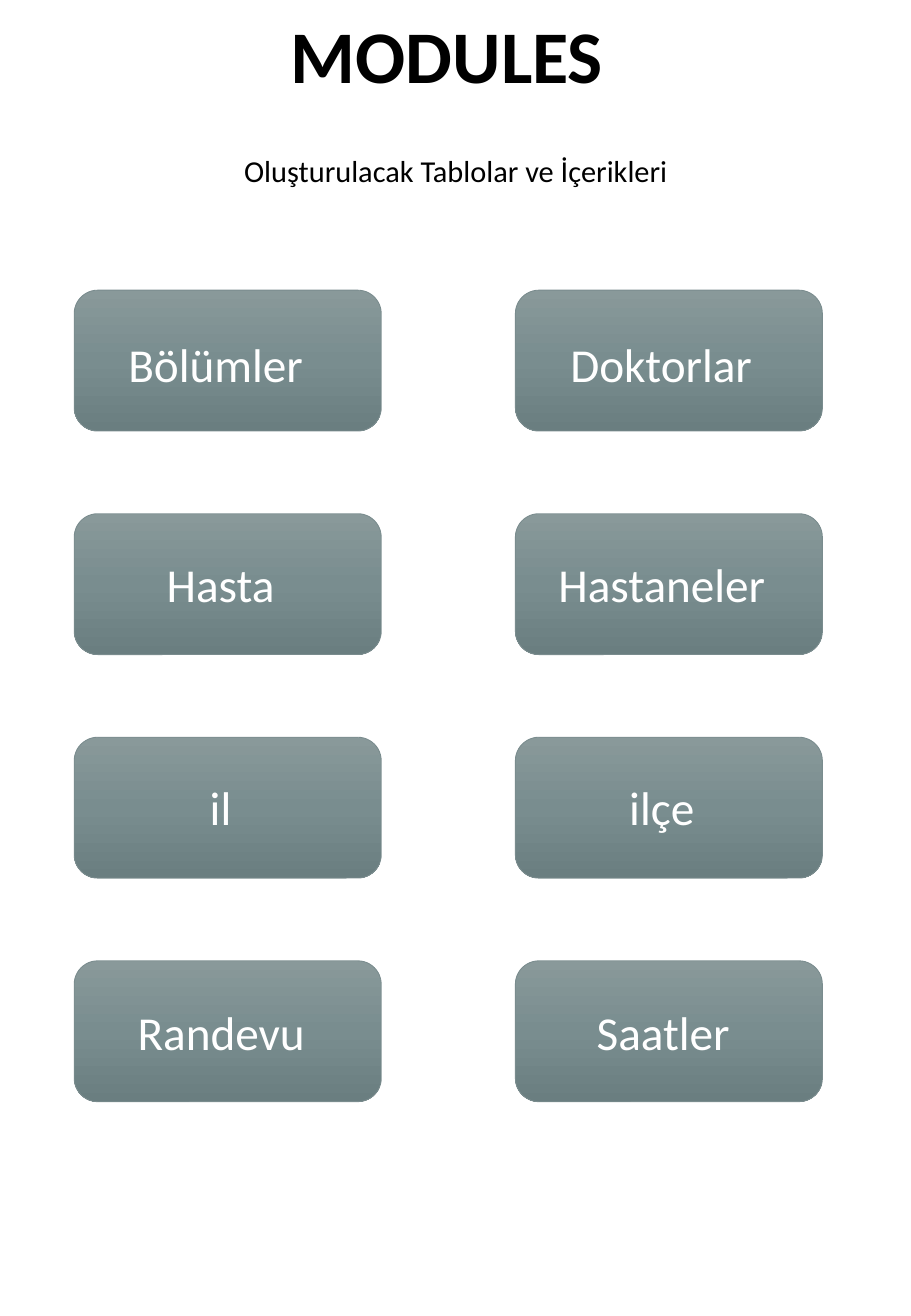
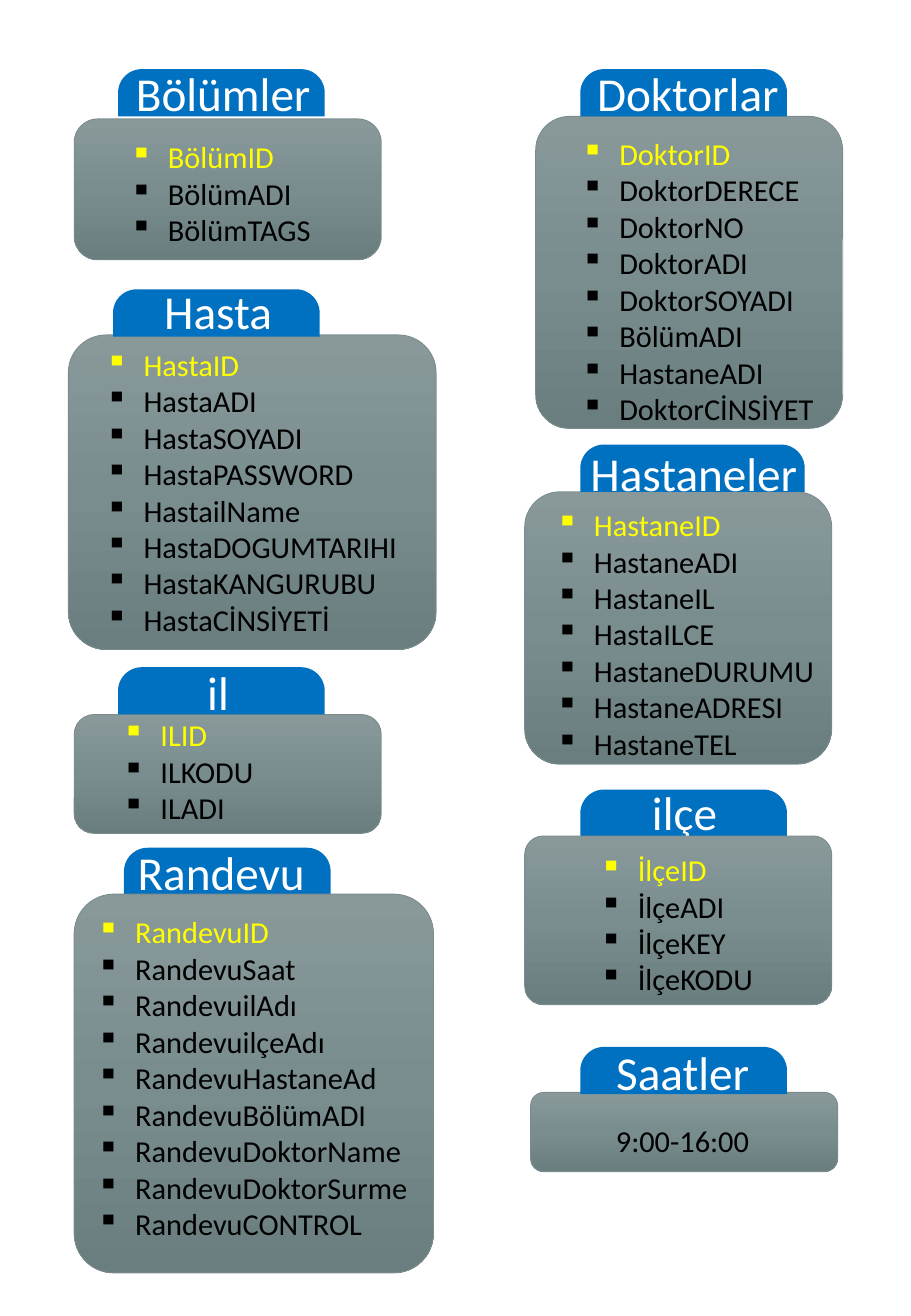
from dataclasses import dataclass
from typing import NamedTuple

from pptx import Presentation
from pptx.dml.color import RGBColor
from pptx.enum.shapes import MSO_SHAPE
from pptx.enum.text import MSO_ANCHOR, MSO_AUTO_SIZE, PP_ALIGN
from pptx.oxml import parse_xml
from pptx.oxml.ns import nsdecls
from pptx.oxml.xmlchemy import OxmlElement
from pptx.shapes.autoshape import Shape
from pptx.slide import Slide
from pptx.text.text import TextFrame
from pptx.util import Pt


@dataclass(frozen=True)
class Theme:
    font: str = "Calibri"
    title_size: float = 44
    label_size: float = 28
    body_size: float = 18
    text: str = "000000"
    label: str = "FFFFFF"
    key: str = "FFFF00"
    tab: str = "0070C0"
    card_line: str = "7A8C8E"
    card_stops: tuple[str, ...] = ("89999A", "798D8F", "6A7E80")


THEME = Theme()
CARD_W, CARD_H = 182, 83.5
TAB_W, TAB_H = 122.5, 28
LABEL_W, LABEL_H = 163.5, 41
LINE_H, INSETS_H = 21.8, 7.2
BULLET_INDENT = 22.5


class Box(NamedTuple):
    left: float
    top: float
    width: float
    height: float


class Label(NamedTuple):
    text: str
    left: float
    top: float
    width: float = LABEL_W
    align: PP_ALIGN = PP_ALIGN.CENTER


@dataclass(frozen=True)
class Table:
    label: Label
    tab_at: tuple[float, float]
    card: Box
    list_at: tuple[float, float]
    list_width: float
    fields: tuple[str, ...]
    radius: float | None = None
    tab_width: float = TAB_W
    bulleted: bool = True
    card_in_front: bool = False


GRID_LEFT, GRID_TOP, COLUMN_STEP, ROW_STEP = 44, 172, 261.5, 132.5
# Label positions are offsets from the card's corner.
GRID = (
    (Label("Bölümler", 25, 23, 122.5, PP_ALIGN.LEFT),
     Label("Doktorlar", 25.5, 23, 139.5, PP_ALIGN.LEFT)),
    (Label("Hasta", 5, 21), Label("Hastaneler", 5, 21)),
    (Label("il", 5, 21), Label("ilçe", 5, 21)),
    (Label("Randevu ", 8.5, 21.5), Label("Saatler ", 9, 21.5)),
)

TABLES = (
    Table(Label("Bölümler", 73.5, 34.5, 122.5, PP_ALIGN.LEFT), (70, 41),
          Box(44, 70.5, CARD_W, CARD_H), (70, 78.5), 126,
          ("BölümID", "BölümADI", "BölümTAGS")),
    Table(Label("Hasta", 47.5, 164), (67, 171.5),
          Box(40.5, 198.5, 218, 186.5), (55.5, 201.5), 201.5,
          ("HastaID", "HastaADI", "HastaSOYADI", "HastaPASSWORD", "HastailName",
           "HastaDOGUMTARIHI", "HastaKANGURUBU", "HastaCİNSİYETİ"),
          radius=0.12),
    Table(Label("il", 47.5, 389.5), (70, 395.5),
          Box(44, 423.5, CARD_W, 70.5), (65.5, 421), 126,
          ("ILID", "ILKODU", "ILADI")),
    Table(Label("Randevu ", 52.5, 496), (73.5, 502.5),
          Box(44, 530, 213, 224.5), (50.5, 538), 198.5,
          ("RandevuID", "RandevuSaat", "RandevuilAdı", "RandevuilçeAdı",
           "RandevuHastaneAd", "RandevuBölümADI", "RandevuDoktorName",
           "RandevuDoktorSurme", "RandevuCONTROL"),
          radius=0.11, card_in_front=True),
    Table(Label("Doktorlar", 326, 34.5), (344, 41),
          Box(317.5, 69, CARD_W, 185), (337.5, 76.5), 167,
          ("DoktorID", "DoktorDERECE", "DoktorNO", "DoktorADI", "DoktorSOYADI",
           "BölümADI", "HastaneADI", "DoktorCİNSİYET"),
          radius=0.11),
    Table(Label("Hastaneler", 329.5, 260), (344, 263.5),
          Box(311, 291.5, CARD_W, 161.5), (322.5, 296.5), 182,
          ("HastaneID", "HastaneADI", "HastaneIL", "HastaILCE",
           "HastaneDURUMU", "HastaneADRESI", "HastaneTEL"),
          radius=0.13, tab_width=133),
    Table(Label("ilçe", 324, 461), (344, 468),
          Box(311, 495.5, CARD_W, 100), (348.5, 501), 126,
          ("İlçeID", "İlçeADI", "İlçeKEY", "İlçeKODU"),
          radius=0.11, card_in_front=True),
    Table(Label("Saatler ", 326, 615), (344, 620.5),
          Box(314.5, 647.5, CARD_W, 47), (358, 661.5), 167,
          ("9:00-16:00",), bulleted=False),
)


def add_line(tf: TextFrame, text: str, size: float, color: str,
             align: PP_ALIGN = PP_ALIGN.LEFT, bold: bool = False,
             bulleted: bool = False) -> None:
    """Write text into the frame's empty first paragraph, or into a new one."""
    p = tf.paragraphs[0] if not tf.paragraphs[0].runs else tf.add_paragraph()
    p.alignment = align
    if bulleted:
        pPr = p._p.get_or_add_pPr()
        pPr.set("marL", str(Pt(BULLET_INDENT)))
        pPr.set("indent", str(-Pt(BULLET_INDENT)))
        bullet = OxmlElement("a:buChar")
        bullet.set("char", "▪")
        pPr.append(bullet)
    r = p.add_run()
    r.text = text
    r.font.name, r.font.size, r.font.bold = THEME.font, Pt(size), bold
    r.font.color.rgb = RGBColor.from_string(color)


def add_text_box(slide: Slide, box: Box) -> TextFrame:
    tf = slide.shapes.add_textbox(*map(Pt, box)).text_frame
    tf.word_wrap = True
    tf.auto_size = MSO_AUTO_SIZE.SHAPE_TO_FIT_TEXT
    return tf


def add_label(slide: Slide, label: Label, left: float = 0, top: float = 0) -> None:
    """Add a label, moved by left and top."""
    box = Box(left + label.left, top + label.top, label.width, LABEL_H)
    add_line(add_text_box(slide, box), label.text, THEME.label_size,
             THEME.label, label.align)


def add_plain_shape(slide: Slide, kind: MSO_SHAPE, box: Box) -> Shape:
    sp = slide.shapes.add_shape(kind, *map(Pt, box))
    sp.shadow.inherit = False
    return sp


def add_card(slide: Slide, box: Box, radius: float | None = None) -> None:
    sp = add_plain_shape(slide, MSO_SHAPE.ROUNDED_RECTANGLE, box)
    if radius is not None:
        sp.adjustments[0] = radius
    stops = "".join(
        f'<a:gs pos="{i * 50000}"><a:srgbClr val="{color}"/></a:gs>'
        for i, color in enumerate(THEME.card_stops))
    sp._element.spPr.prstGeom.addnext(parse_xml(
        f'<a:gradFill {nsdecls("a")} rotWithShape="1"><a:gsLst>{stops}</a:gsLst>'
        '<a:lin ang="5400000" scaled="0"/></a:gradFill>'))
    sp.line.color.rgb = RGBColor.from_string(THEME.card_line)
    sp.line.width = Pt(0.5)


def add_tab(slide: Slide, table: Table) -> None:
    box = Box(*table.tab_at, table.tab_width, TAB_H)
    sp = add_plain_shape(slide, MSO_SHAPE.ROUND_2_SAME_RECTANGLE, box)
    sp.adjustments[0], sp.adjustments[1] = 0.5, 0
    sp.fill.solid()
    sp.fill.fore_color.rgb = RGBColor.from_string(THEME.tab)
    sp.line.fill.background()
    add_label(slide, table.label)


def add_table_card(slide: Slide, table: Table) -> None:
    """Draw one table: its tab, its card and its fields, the key field first."""
    if table.card_in_front:
        add_tab(slide, table)
    add_card(slide, table.card, table.radius)
    if not table.card_in_front:
        add_tab(slide, table)
    height = INSETS_H + LINE_H * len(table.fields)
    tf = add_text_box(slide, Box(*table.list_at, table.list_width, height))
    for i, field in enumerate(table.fields):
        is_key = table.bulleted and i == 0
        add_line(tf, field, THEME.body_size, THEME.key if is_key else THEME.text,
                 bulleted=table.bulleted)


def build_modules(slide: Slide) -> None:
    title = slide.shapes.title
    title.left, title.top, title.width, title.height = map(Pt, Box(28, 2, 484, 60.5))
    tf = title.text_frame
    tf.vertical_anchor = MSO_ANCHOR.TOP
    tf.auto_size = MSO_AUTO_SIZE.SHAPE_TO_FIT_TEXT
    add_line(tf, "MODULES ", THEME.title_size, THEME.text, PP_ALIGN.CENTER, bold=True)

    subtitle = add_text_box(slide, Box(80.5, 86.5, 379.5, INSETS_H + LINE_H))
    add_line(subtitle, "Oluşturulacak Tablolar ve İçerikleri", THEME.body_size,
             THEME.text, PP_ALIGN.CENTER)

    for row, labels in enumerate(GRID):
        for column, label in enumerate(labels):
            left = GRID_LEFT + column * COLUMN_STEP
            top = GRID_TOP + row * ROW_STEP
            add_card(slide, Box(left, top, CARD_W, CARD_H))
            add_label(slide, label, left, top)


def main() -> None:
    prs = Presentation()
    prs.slide_width, prs.slide_height = Pt(540), Pt(780)
    title_only, blank = prs.slide_layouts[5], prs.slide_layouts[6]
    build_modules(prs.slides.add_slide(title_only))
    tables_slide = prs.slides.add_slide(blank)
    for table in TABLES:
        add_table_card(tables_slide, table)
    prs.save("out.pptx")


if __name__ == "__main__":
    main()
